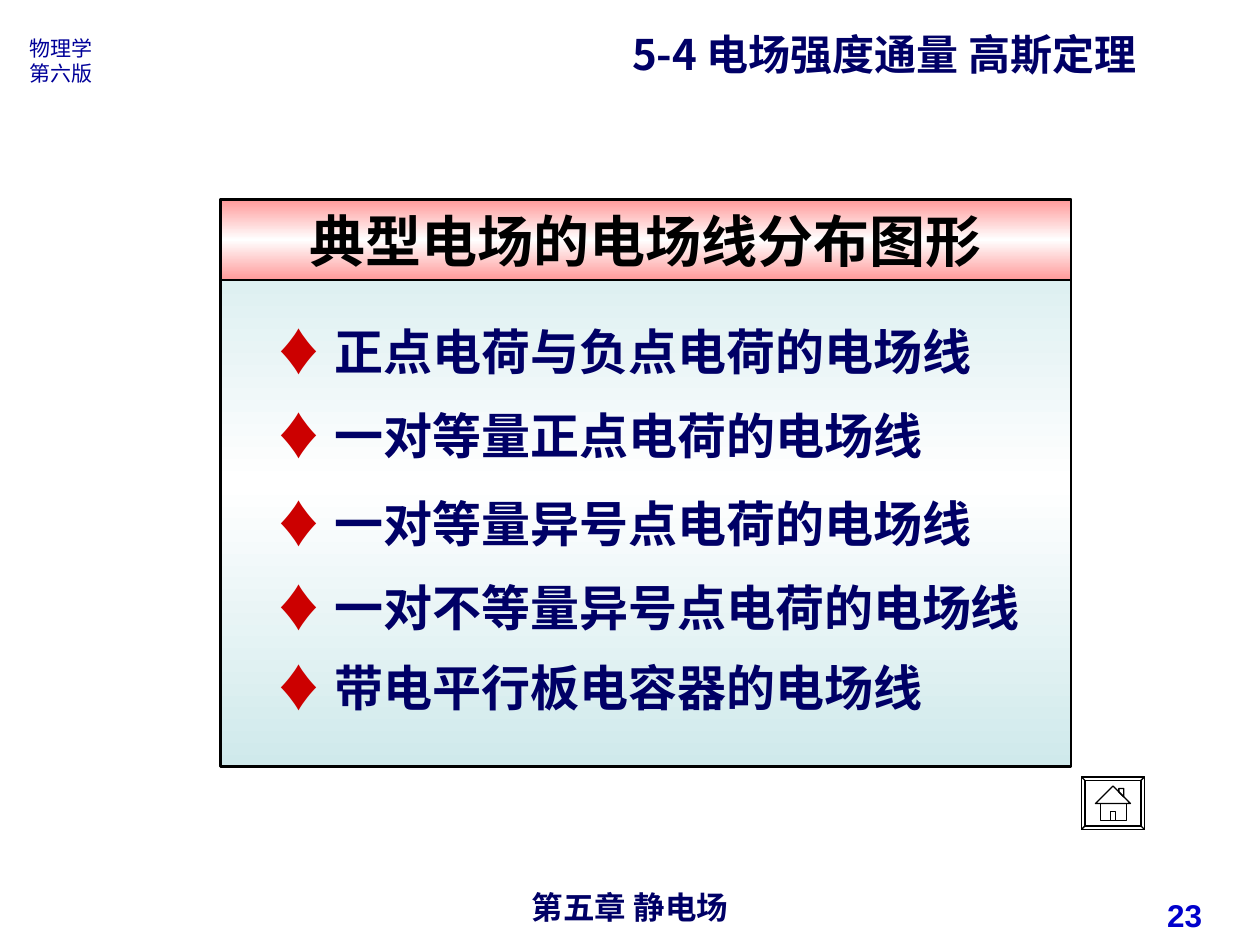
from copy import deepcopy
from dataclasses import dataclass
from typing import NamedTuple

from lxml.etree import SubElement
from pptx import Presentation
from pptx.dml.color import RGBColor as RGB
from pptx.enum.shapes import MSO_SHAPE as SHAPE
from pptx.enum.text import MSO_ANCHOR as ANCHOR, MSO_AUTO_SIZE as AUTO, PP_ALIGN as ALIGN
from pptx.oxml.ns import qn
from pptx.util import Pt


@dataclass(frozen=True)
class Theme:
    latin: str = "Arial"
    cjk: str = "Noto Sans CJK SC"
    navy: str = "000066"
    blue: str = "000099"
    number: str = "0000CC"
    red: str = "CC0000"
    black: str = "000000"
    white: str = "FFFFFF"
    pink: str = "FF9999"
    aqua: str = "CFE9EB"
    label: int = 12
    footer: int = 18
    title: int = 24
    item: int = 28
    heading: int = 32


class Box(NamedTuple):
    left: float
    top: float
    width: float
    height: float

    def lengths(self) -> list:
        return [Pt(v) for v in self]


class Style(NamedTuple):
    size: int
    color: str
    font: str
    bold: bool = True


class Item(NamedTuple):
    top: float
    text: str


T = Theme()
ITEMS = [
    Item(180, "正点电荷与负点电荷的电场线"),
    Item(228, "一对等量正点电荷的电场线"),
    Item(278.6, "一对等量异号点电荷的电场线"),
    Item(326.2, "一对不等量异号点电荷的电场线"),
    Item(372, "带电平行板电容器的电场线"),
]
PANEL = Box(126, 114, 486, 324)
HEADING = Box(126, 114, 486, 46)
BUTTON = Box(618, 444, 36, 30)
BEVEL = 2
HOUSE = [
    [(8, 15.2), (18, 5.2), (28, 15.2)],
    [(10.8, 15.2), (25.8, 15.2), (25.8, 25), (10.8, 25)],
    [(16.5, 19.6), (19.5, 19.6), (19.5, 25), (16.5, 25)],
    [(21.4, 8.6), (21.4, 6.6), (24.2, 6.6), (24.2, 11.4)],
]


def format_run(r, style: Style) -> None:
    r.font.size = Pt(style.size)
    r.font.bold = style.bold
    r.font.color.rgb = RGB.from_string(style.color)
    r.font.name = style.font
    SubElement(r.font._element, qn("a:ea")).set("typeface", T.cjk)


def write(sp, text: str, style: Style, align=ALIGN.LEFT, anchor=ANCHOR.TOP) -> None:
    tf = sp.text_frame
    tf.text = text
    tf.word_wrap = True
    tf.auto_size = AUTO.NONE
    tf.vertical_anchor = anchor
    for p in tf.paragraphs:
        p.alignment = align
        for r in p.runs:
            format_run(r, style)


def add_text(s, box: Box, text: str, style: Style, **layout) -> None:
    write(s.shapes.add_textbox(*box.lengths()), text, style, **layout)


def add_item(s, item: Item) -> None:
    sp = s.shapes.add_textbox(*Box(150, item.top, 460, 41).lengths())
    write(sp, "♦ ", Style(T.item, T.red, T.latin))
    r = sp.text_frame.paragraphs[0].add_run()
    r.text = item.text
    format_run(r, Style(T.item, T.navy, T.cjk))


def outline(sp, width: float) -> None:
    sp.shadow.inherit = False
    sp.line.color.rgb = RGB.from_string(T.black)
    sp.line.width = Pt(width)


def add_gradient_box(s, box: Box, edge: str):
    """Draw a rectangle that fades from the edge colour to white and back."""
    sp = s.shapes.add_shape(SHAPE.RECTANGLE, *box.lengths())
    outline(sp, 1.5)
    sp.fill.gradient()
    sp.fill.gradient_angle = 270
    stops = sp._element.spPr.find(".//" + qn("a:gsLst"))
    stops.append(deepcopy(stops[-1]))
    for stop, position, color in zip(sp.fill.gradient_stops, (0, 0.5, 1),
                                     (edge, T.white, edge)):
        stop.position = position
        stop.color.rgb = RGB.from_string(color)
    return sp


def add_home_button(s, box: Box) -> None:
    w, h, b = box.width, box.height, BEVEL
    outer = [(0, 0), (w, 0), (w, h), (0, h)]
    inner = [(b, b), (w - b, b), (w - b, h - b), (b, h - b)]
    contours = [outer, inner, *map(list, zip(outer, inner)), *HOUSE]

    def place(point) -> tuple:
        return Pt(box.left + point[0]), Pt(box.top + point[1])

    builder = s.shapes.build_freeform(*place(outer[0]))
    for i, contour in enumerate(contours):
        start, *rest = map(place, contour)
        if i:
            builder.move_to(*start)
        builder.add_line_segments(rest, close=True)
    sp = builder.convert_to_shape()
    sp.fill.background()
    outline(sp, 0.75)


def add_title(s) -> None:
    sp = s.shapes.title
    sp.left, sp.top, sp.width, sp.height = Box(354, 7.2, 332, 76).lengths()
    write(sp, "5-4 电场强度通量 高斯定理", Style(T.title, T.navy, T.cjk))
    sp.text_frame.paragraphs[0].line_spacing = 1.2


def main() -> None:
    prs = Presentation()
    prs.slide_width, prs.slide_height = Pt(720), Pt(540)
    s = prs.slides.add_slide(prs.slide_layouts[5])
    add_title(s)
    add_text(s, Box(10, 16.6, 52, 36), "物理学\n第六版",
             Style(T.label, T.blue, T.cjk, bold=False))
    add_text(s, Box(246, 504, 228, 21), "第五章 静电场",
             Style(T.footer, T.navy, T.latin), align=ALIGN.CENTER)
    add_text(s, Box(526, 507, 168, 32), "23", Style(T.footer, T.number, T.latin),
             align=ALIGN.RIGHT, anchor=ANCHOR.MIDDLE)
    add_gradient_box(s, PANEL, T.aqua)
    for item in ITEMS:
        add_item(s, item)
    write(add_gradient_box(s, HEADING, T.pink), "典型电场的电场线分布图形",
          Style(T.heading, T.black, T.cjk), align=ALIGN.CENTER, anchor=ANCHOR.MIDDLE)
    add_home_button(s, BUTTON)
    prs.save("out.pptx")


if __name__ == "__main__":
    main()
